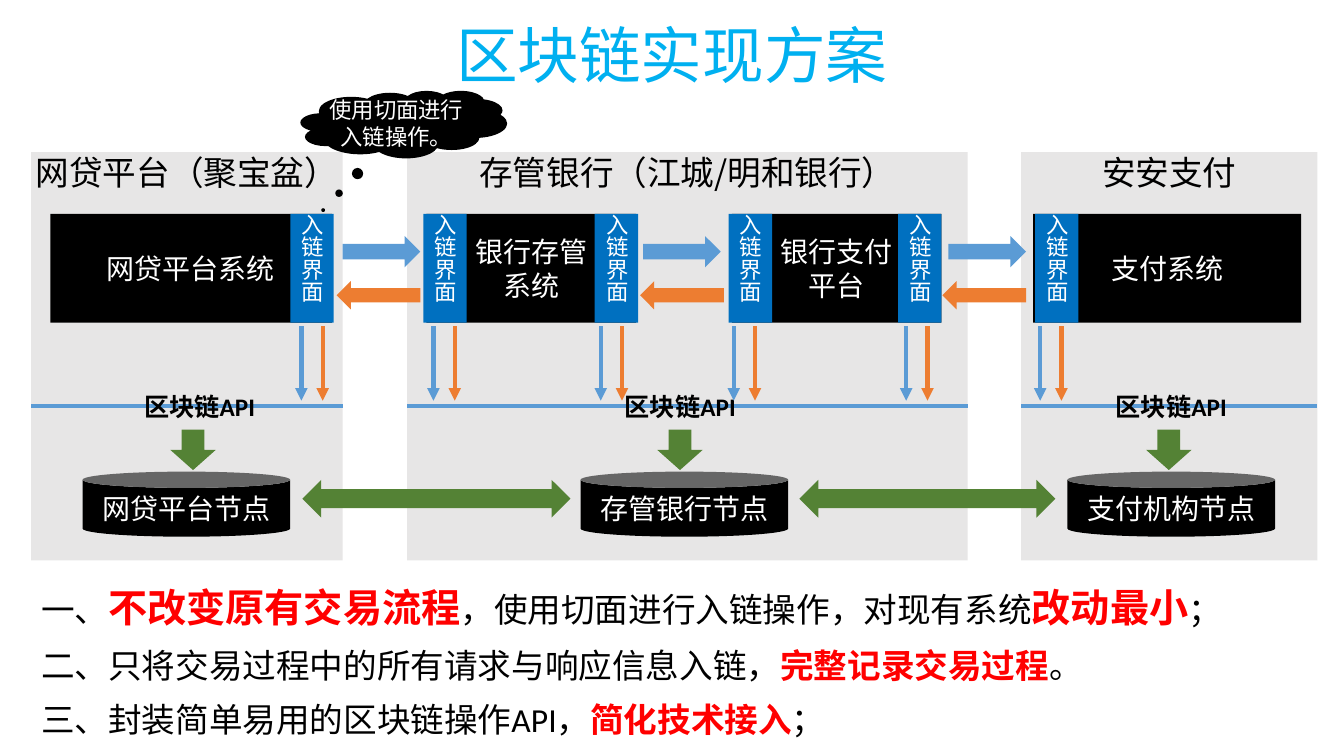
from pptx import Presentation
from pptx.dml.color import RGBColor
from pptx.enum.shapes import MSO_CONNECTOR as Line, MSO_SHAPE as Shape
from pptx.enum.text import MSO_ANCHOR as Anchor, PP_ALIGN as Align
from pptx.oxml.ns import qn
from pptx.util import Pt
from lxml.etree import SubElement

BLACK = RGBColor(0x00, 0x00, 0x00)
WHITE = RGBColor(0xFF, 0xFF, 0xFF)
GREY = RGBColor(0xE7, 0xE6, 0xE6)
TITLE_BLUE = RGBColor(0x00, 0xB0, 0xF0)
TAB_BLUE = RGBColor(0x00, 0x70, 0xC0)
REQUEST_BLUE = RGBColor(0x5B, 0x9B, 0xD5)
REPLY_ORANGE = RGBColor(0xED, 0x7D, 0x31)
NODE_GREEN = RGBColor(0x54, 0x82, 0x35)
RED = RGBColor(0xFF, 0x00, 0x00)
CJK = "Noto Sans CJK SC"
LATIN = "Calibri"


def write_run(paragraph, text, color, **formats):
    run = paragraph.add_run()
    run.text = text
    run.font.color.rgb = color
    for name, value in formats.items():
        setattr(run.font, name, value)
    if formats["name"] == CJK:
        SubElement(run.font._element, qn("a:ea"), typeface=CJK)


def write_lines(frame, lines, color, align=Align.CENTER, **formats):
    for index, line in enumerate(lines):
        paragraph = frame.add_paragraph() if index else frame.paragraphs[0]
        paragraph.alignment = align
        write_run(paragraph, line, color, **formats)


def add_block(slide, kind, box, fill, lines=(), size=20, color=WHITE,
              anchor=Anchor.MIDDLE, align=Align.CENTER, indent=0):
    block = slide.shapes.add_shape(kind, *map(Pt, box))
    block.shadow.inherit = False
    block.fill.solid()
    block.fill.fore_color.rgb = fill
    block.line.fill.background()
    frame = block.text_frame
    layout = {"margin_left": Pt(indent), "margin_right": 0, "margin_top": 0,
              "margin_bottom": 0, "vertical_anchor": anchor, "word_wrap": True}
    for name, value in layout.items():
        setattr(frame, name, value)
    write_lines(frame, lines, color, align, name=CJK, size=Pt(size))
    return block


def add_text(slide, box, anchor=Anchor.TOP):
    frame = slide.shapes.add_textbox(*map(Pt, box)).text_frame
    frame.word_wrap = True
    frame.vertical_anchor = anchor
    return frame


def add_line(slide, start, end, color, arrow=False):
    line = slide.shapes.add_connector(Line.STRAIGHT, *map(Pt, start + end))
    line.line.color.rgb = color
    line.line.width = Pt(3)
    if arrow:
        SubElement(line.line._get_or_add_ln(), qn("a:tailEnd"), type="triangle")
    SubElement(line._element.spPr, qn("a:effectLst"))


def add_title(slide, box):
    frame = add_text(slide, box, Anchor.MIDDLE)
    write_lines(frame, ["区块链实现方案"], TITLE_BLUE, name=LATIN, size=Pt(44))
    frame.paragraphs[0].line_spacing = 1.5


def add_panel(slide, box, owner, node, node_x, label_x, arrow_x):
    """Grey panel with its API line and its chain node; x values from the panel's left."""
    left, top, width, _ = box
    add_block(slide, Shape.RECTANGLE, box, GREY, [owner], 24, BLACK, Anchor.TOP)
    add_line(slide, (left, top + 181.5), (left + width, top + 181.5), REQUEST_BLUE)
    api_label = add_text(slide, (left + label_x, top + 167, 95, 29))
    write_lines(api_label, ["区块链API"], BLACK, Align.LEFT,
                name=LATIN, size=Pt(18), bold=True)
    add_block(slide, Shape.DOWN_ARROW, (left + arrow_x, top + 198.3, 32.4, 28.8), NODE_GREEN)
    add_block(slide, Shape.CAN, (left + node_x, top + 228.2, 148.3, 46.5), BLACK, [node])


def add_system(slide, box, lines, tabs, **text_format):
    """System box; each tab is its offset from the box and that of its first down arrow."""
    left, top, _, height = box
    add_block(slide, Shape.RECTANGLE, box, BLACK, lines, **text_format)
    for tab_x, drop_x in tabs:
        tab_left = left + tab_x
        tab = add_block(slide, Shape.RECTANGLE, (tab_left, top, 31, height),
                        TAB_BLUE, ["入链界面"], 16)
        tab.text_frame._txBody.bodyPr.set("vert", "eaVert")
        for index, color in enumerate((REQUEST_BLUE, REPLY_ORANGE)):
            x = tab_left + drop_x + index * 15.2
            add_line(slide, (x, top + 80.5), (x, top + 133.5), color, arrow=True)


def add_exchange(slide, left, top, reply_shift):
    add_block(slide, Shape.RIGHT_ARROW, (left, top, 55.4, 22.3), REQUEST_BLUE)
    add_block(slide, Shape.LEFT_ARROW, (left + reply_shift, top + 32.2, 59.8, 20.2),
              REPLY_ORANGE)


def add_callout(slide, box):
    cloud = add_block(slide, Shape.CLOUD_CALLOUT, box, BLACK, ["使用切面进行入链操作。"], 16)
    cloud.adjustments[0], cloud.adjustments[1] = -0.39, 1.27


def add_conclusions(slide, box):
    conclusions = [
        [("一、", 24, False), ("不改变原有交易流程", 28, True),
         ("，使用切面进行入链操作，对现有系统", 24, False),
         ("改动最小", 28, True), ("；", 24, False)],
        [("二、只将交易过程中的所有请求与响应信息入链，", 24, False),
         ("完整记录交易过程", 24, True), ("。", 24, False)],
        [("三、封装简单易用的区块链操作API，", 24, False),
         ("简化技术接入", 24, True), ("；", 24, False)],
    ]
    frame = add_text(slide, box)
    for index, parts in enumerate(conclusions):
        paragraph = frame.add_paragraph() if index else frame.paragraphs[0]
        paragraph.space_before = Pt(10)
        for text, size, key in parts:
            write_run(paragraph, text, RED if key else BLACK,
                      name=LATIN, size=Pt(size), bold=key)


def main():
    deck = Presentation()
    deck.slide_width, deck.slide_height = Pt(960), Pt(540)
    slide = deck.slides.add_slide(deck.slide_layouts[6])
    add_title(slide, (0, -1.5, 960, 53.3))

    # Participants: left, width, owner, node, offsets of node, label and arrow
    panels = [
        (22.3, 222.5, "网贷平台（聚宝盆）", "网贷平台节点", 36.7, 73.5, 99.4),
        (290.9, 400.3, "存管银行（江城/明和银行）", "存管银行节点", 123.8, 148.3, 178.6),
        (729.4, 211.7, "安安支付", "支付机构节点", 33.1, 60.5, 89.3),
    ]
    for left, width, *content in panels:
        add_panel(slide, (left, 108.7, width, 291.6), *content)

    # Systems with their chain interfaces
    top, height = 152.7, 77.7
    add_system(slide, (36, top, 201, height), ["网贷平台系统"], [(171.4, 7.9)],
               align=Align.LEFT, indent=40)
    add_system(slide, (304.6, top, 149.8, height), ["银行存管", "系统"],
               [(-2.2, 7.2), (120.2, 4.3)])
    add_system(slide, (522.7, top, 149.8, height), ["银行支付", "平台"],
               [(-2.2, 3.6), (118.8, 5.8)])
    add_system(slide, (738, top, 191.5, height), ["支付系统"], [(1.4, 3.6)])

    # Requests and replies between systems
    for left, reply_shift in ((244.8, -4.3), (459.4, -2.2), (677.5, -4.3)):
        add_exchange(slide, left, 168.6, reply_shift)

    # Links between chain nodes
    for left, width in ((216, 191.5), (571, 182.9)):
        add_block(slide, Shape.LEFT_RIGHT_ARROW, (left, 342.7, width, 27), NODE_GREEN)

    add_conclusions(slide, (22.3, 413.3, 861.8, 115.2))
    add_callout(slide, (214.6, 64.8, 147.6, 48.2))
    deck.save("out.pptx")


if __name__ == "__main__":
    main()
